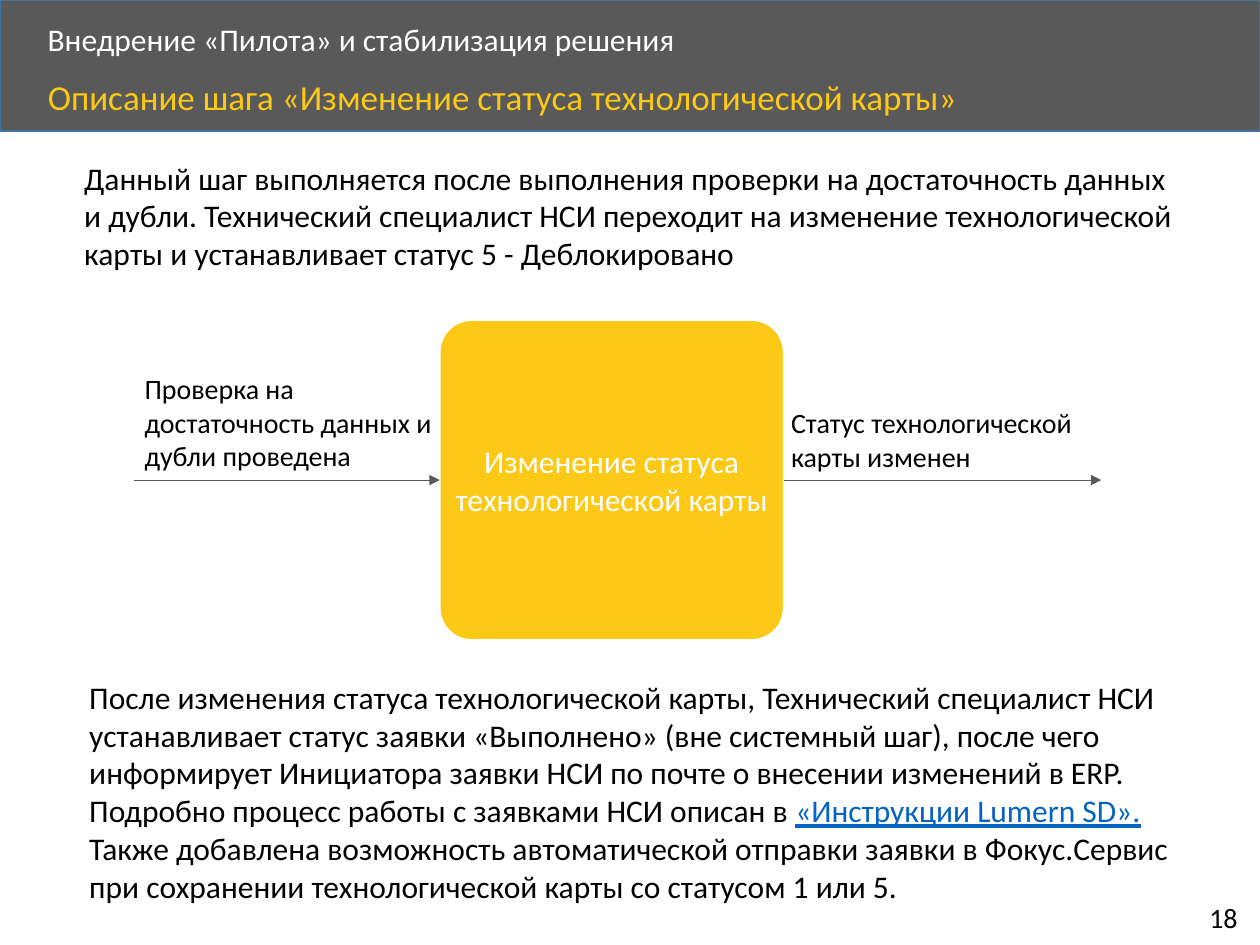
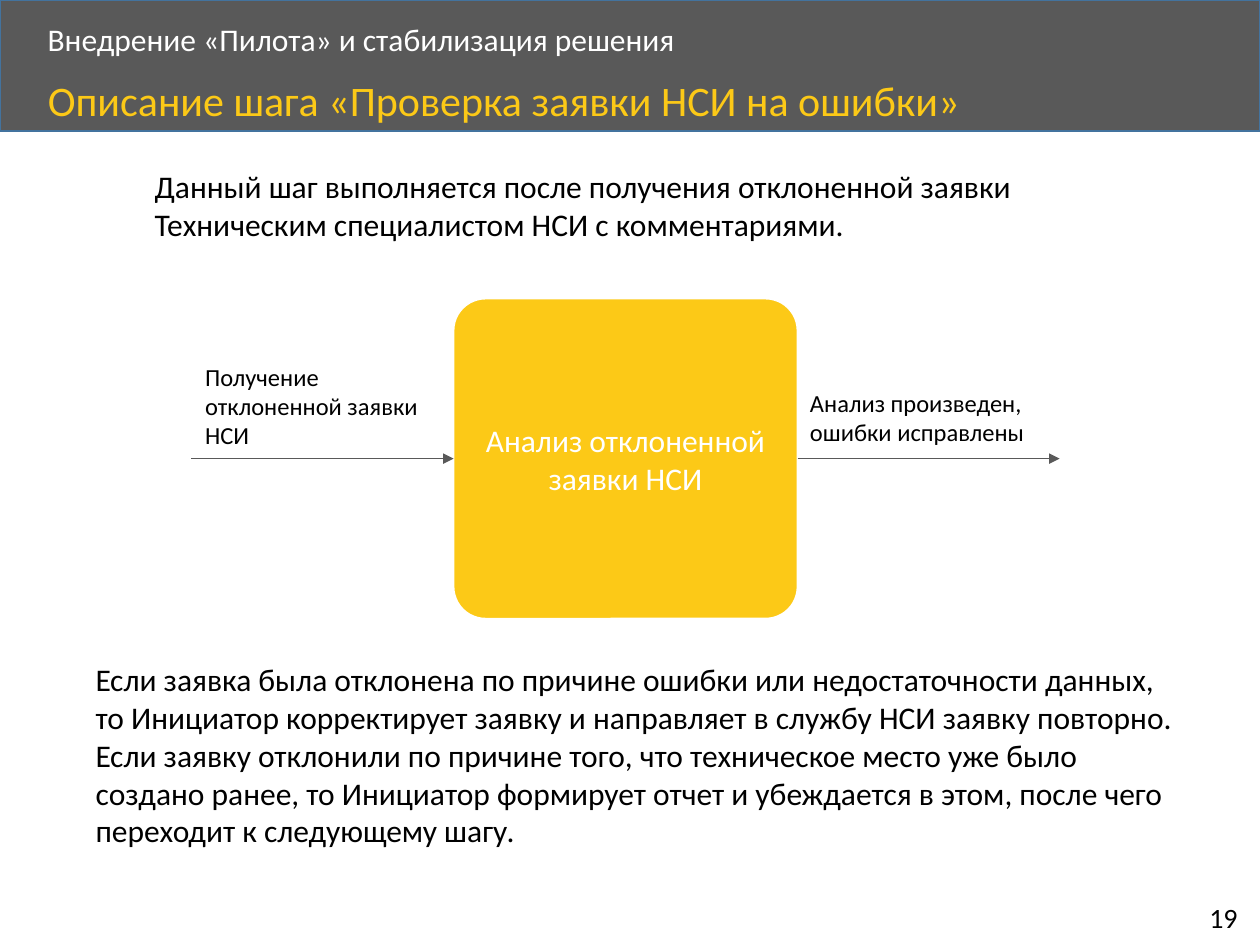
from lxml.etree import SubElement
from pptx import Presentation
from pptx.dml.color import RGBColor
from pptx.enum.shapes import MSO_CONNECTOR, MSO_SHAPE
from pptx.enum.text import MSO_ANCHOR, MSO_AUTO_SIZE, PP_ALIGN
from pptx.oxml.ns import qn
from pptx.util import Inches, Pt

COLORS = {
    "band": "595959",
    "band_line": "43739E",
    "accent": "FCC917",
    "white": "FFFFFF",
    "text": "000000",
    "link": "0563C1",
}
FONT = "Calibri"
SECTION = "Внедрение «Пилота» и стабилизация решения"
FIRST_NUMBER = 18
STEP_WIDTH, STEP_HEIGHT = 2.73, 2.54

STEPS = [
    {
        "title": ("Описание шага «Изменение статуса технологической карты»", 20),
        "intro": (
            (0.57, 1.21, 8.85, 1.01),
            "Данный шаг выполняется после выполнения проверки на достаточность данных и дубли. "
            "Технический специалист НСИ переходит на изменение технологической карты "
            "и устанавливает статус 5 - Деблокировано",
        ),
        "step": ((3.49, 2.54), "Изменение статуса технологической карты"),
        "arrow_ends": (1.06, 8.74),
        "label_size": 16,
        "labels": [
            ((1.05, 2.9, 2.72, 0.91), "Проверка на достаточность данных и дубли проведена"),
            ((6.18, 3.17, 2.47, 0.64), "Статус технологической карты изменен"),
        ],
        "outcome": (
            (0.61, 5.33, 8.81, 2.22),
            [
                [
                    ("После изменения статуса технологической карты, Технический специалист НСИ "
                     "устанавливает статус заявки «Выполнено» (вне системный шаг), после чего "
                     "информирует Инициатора заявки НСИ по почте о внесении изменений в ERP. "
                     "Подробно процесс работы c заявками НСИ описан в ", {}),
                    ("«Инструкции Lumern SD».", {"color": "link", "underline": True}),
                ],
                "Также добавлена возможность автоматической отправки заявки в Фокус.Сервис "
                "при сохранении технологической карты со статусом 1 или 5.",
            ],
        ),
    },
    {
        "title": ("Описание шага «Проверка заявки НСИ на ошибки»", 24),
        "intro": (
            (1.13, 1.28, 7.97, 0.71),
            "Данный шаг выполняется после получения отклоненной заявки "
            "Техническим специалистом НСИ с комментариями.",
        ),
        "step": ((3.6, 2.37), "Анализ отклоненной заявки НСИ"),
        "arrow_ends": (1.52, 8.41),
        "label_size": 14,
        "labels": [
            ((1.53, 2.82, 1.97, 0.81), "Получение отклоненной заявки НСИ"),
            ((6.33, 3.03, 2.05, 0.57), "Анализ произведен, ошибки исправлены"),
        ],
        "outcome": (
            (0.66, 5.19, 8.85, 1.62),
            [
                "Если заявка была отклонена по причине ошибки или недостаточности данных, "
                "то Инициатор корректирует заявку и направляет в службу НСИ заявку повторно. "
                "Если заявку отклонили по причине того, что техническое место уже было создано "
                "ранее, то Инициатор формирует отчет и убеждается в этом, после чего переходит "
                "к следующему шагу.",
            ],
        ),
    },
]


class StepDeck:
    """Holds the shared style and draws elements on the current slide."""

    def __init__(self):
        self.presentation = Presentation()
        self.presentation.slide_width = Inches(10)
        self.presentation.slide_height = Inches(7.5)
        self.slide = None

    def color(self, name):
        return RGBColor.from_string(COLORS[name])

    def set_text(self, shape, paragraphs, size=18, color="text", frame_format=None, **paragraph_format):
        frame = shape.text_frame
        settings = {"word_wrap": True, "auto_size": MSO_AUTO_SIZE.NONE,
                    "vertical_anchor": MSO_ANCHOR.TOP, **(frame_format or {})}
        for name, value in settings.items():
            setattr(frame, name, value)
        for index, runs in enumerate(paragraphs):
            paragraph = frame.add_paragraph() if index else frame.paragraphs[0]
            for name, value in {"alignment": PP_ALIGN.LEFT, **paragraph_format}.items():
                setattr(paragraph, name, value)
            for text, changes in [(runs, {})] if isinstance(runs, str) else runs:
                run = paragraph.add_run()
                run.text = text
                font_format = {"name": FONT, "size": Pt(size), **changes}
                run.font.color.rgb = self.color(font_format.pop("color", color))
                for name, value in font_format.items():
                    setattr(run.font, name, value)

    def text(self, place, paragraphs, **style):
        box = self.slide.shapes.add_textbox(*map(Inches, place))
        self.set_text(box, paragraphs, **style)

    def box(self, kind, place, fill, line):
        shape = self.slide.shapes.add_shape(kind, *map(Inches, place))
        shape.shadow.inherit = False
        shape.fill.solid()
        shape.fill.fore_color.rgb = self.color(fill)
        shape.line.color.rgb = self.color(line)
        shape.line.width = Pt(1)
        return shape

    def arrow(self, start, end):
        points = map(Inches, (*start, *end))
        connector = self.slide.shapes.add_connector(MSO_CONNECTOR.STRAIGHT, *points)
        connector.line.color.rgb = self.color("band")
        connector.line.width = Pt(0.5)
        properties = connector.element.spPr
        SubElement(properties.find(qn("a:ln")), qn("a:tailEnd"), type="triangle")
        SubElement(properties, qn("a:effectLst"))
        return connector

    def title(self, text, size):
        title = self.slide.shapes.title
        place = dict(zip(("left", "top", "width", "height"), (0.28, 0.59, 8.67, 0.45)))
        for name, value in place.items():
            setattr(title, name, Inches(value))
        self.set_text(title, [text], size=size, color="accent", line_spacing=0.9, space_before=Pt(0))

    def new_slide(self, title, number):
        self.slide = self.presentation.slides.add_slide(self.presentation.slide_layouts[5])
        band = self.box(MSO_SHAPE.RECTANGLE, (0, 0, 10, 1.04), "band", "band_line")
        self.slide.shapes.title.element.addprevious(band.element)
        self.text((0.28, 0.14, 8.07, 0.38), [SECTION], color="white", line_spacing=0.9,
                  frame_format={"vertical_anchor": MSO_ANCHOR.MIDDLE})
        self.text((9.5, 7.1, 0.46, 0.37), [str(number)], size=16,
                  frame_format={"word_wrap": False})
        self.title(*title)

    def step(self, corner, text, arrow_ends):
        left, top = corner
        step = self.box(MSO_SHAPE.ROUNDED_RECTANGLE, (left, top, STEP_WIDTH, STEP_HEIGHT),
                        "accent", "white")
        step.adjustments[0] = 0.1
        self.set_text(step, [text], color="white", alignment=PP_ALIGN.CENTER, frame_format={
            "vertical_anchor": MSO_ANCHOR.MIDDLE,
            "margin_left": Inches(0.02), "margin_right": Inches(0.02)})
        middle = top + STEP_HEIGHT / 2
        start, end = arrow_ends
        self.arrow((start, middle), (left, middle)).end_connect(step, 1)
        self.arrow((left + STEP_WIDTH, middle), (end, middle)).begin_connect(step, 3)

    def step_slide(self, content, number):
        self.new_slide(content["title"], number)
        place, intro = content["intro"]
        self.text(place, [intro])
        self.step(*content["step"], content["arrow_ends"])
        for place, label in content["labels"]:
            self.text(place, [label], size=content["label_size"])
        self.text(*content["outcome"])


def main():
    deck = StepDeck()
    for number, content in enumerate(STEPS, FIRST_NUMBER):
        deck.step_slide(content, number)
    deck.presentation.save("out.pptx")


if __name__ == "__main__":
    main()
